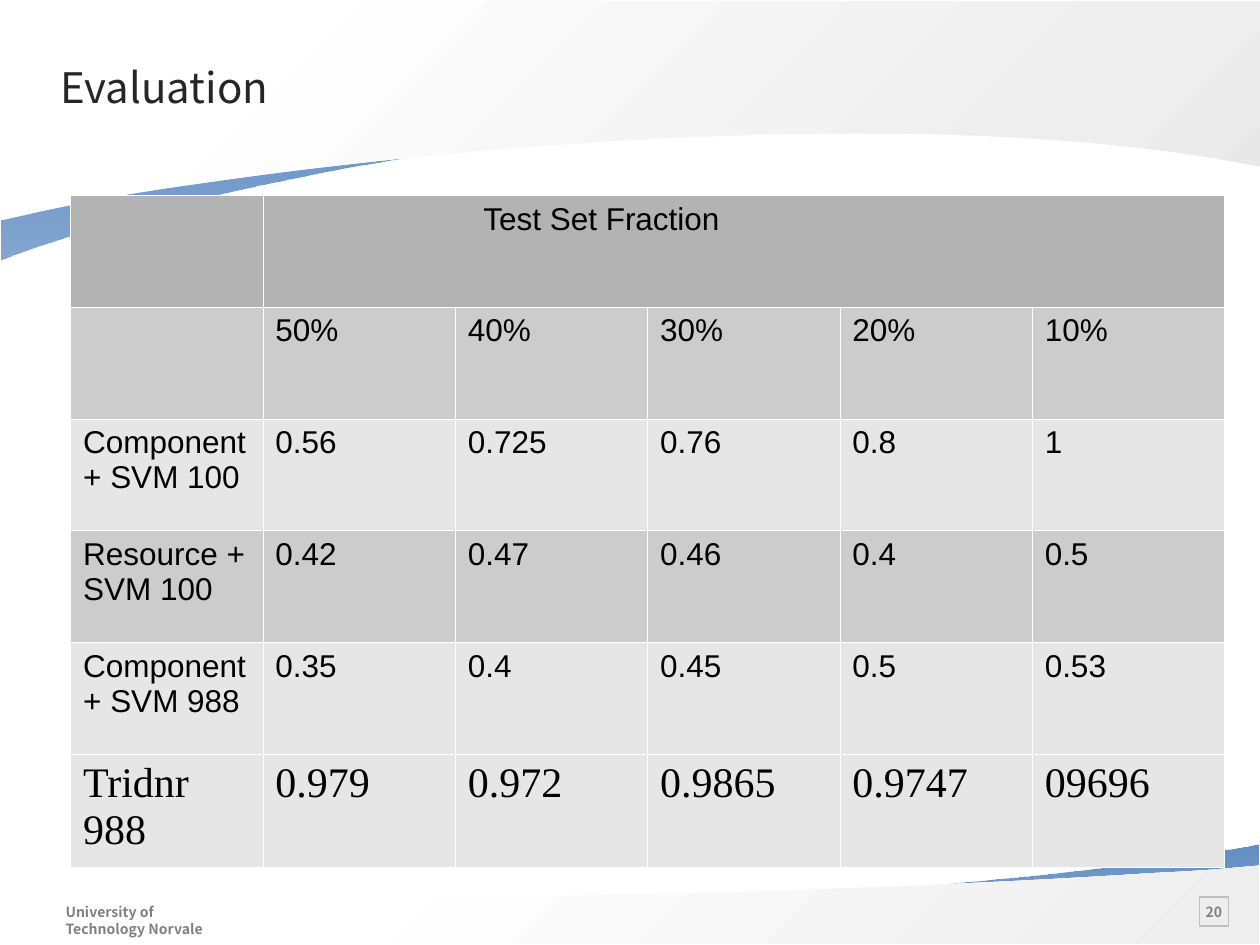
import lxml.etree
import pptx
import pptx.dml.color
import pptx.enum.shapes
import pptx.enum.text
import pptx.oxml.ns
import pptx.util

Inches, Pt = pptx.util.Inches, pptx.util.Pt
RGB = pptx.dml.color.RGBColor.from_string
qn = pptx.oxml.ns.qn
SubElement = lxml.etree.SubElement

THEME = {
    "title": {"name": "Noto Sans CJK SC", "size": Pt(24), "color": "262626"},
    "footer": {"name": "Noto Sans CJK SC", "size": Pt(8), "bold": True, "color": "808080"},
    "cell": {"name": "Arial", "size": Pt(18), "color": "000000"},
    "last_row": {"name": "Times New Roman", "size": Pt(24), "color": "000000"},
    "row_fills": ["B3B3B3", "CCCCCC", "E6E6E6", "CCCCCC", "E6E6E6", "E6E6E6"],
    "border": "FFFFFF",
    "number_frame": "BFBFBF",
    # gradient stops: position %, colour, opacity %
    "blue": [(0, "4F81BD", 90), (100, "4F81BD", 70)],
    "bottom_grey": [(26, "FFFFFF", 100), (100, "EEEEEE", 100)],
    "top_grey": [(17, "FFFFFF", 100), (81, "EEEEEE", 100), (100, "E8E8E8", 100)],
}


def write(tf, text, style, margins, wrap=True):
    """Fill a text frame; margins are left, top, right, bottom in inches."""
    tf.word_wrap = wrap
    for side, m in zip(("left", "top", "right", "bottom"), margins):
        setattr(tf, "margin_" + side, Inches(m))
    tf.text = text
    for p in tf.paragraphs:
        for key, value in THEME[style].items():
            if key == "color":
                p.font.color.rgb = RGB(value)
            else:
                setattr(p.font, key, value)


prs = pptx.Presentation()
prs.slide_width, prs.slide_height = Inches(10), Inches(7.5)
s = prs.slides.add_slide(prs.slide_layouts[6])

# Background waves: a pair is a corner, six numbers are a cubic curve
waves = [
    ("blue", 90, [(9.99, 6.7), (9.99, 7.34), (0, 7.34), (0, 7.08), (0.01, 7.08),
                  (2.26, 7.4, 6.14, 7.17, 8.39, 6.93),
                  (8.84, 6.88, 9.35, 6.81, 9.89, 6.72)]),
    ("bottom_grey", 45, [(9.99, 6.87), (9.99, 7.12), (9.99, 7.14), (9.99, 7.49),
                         (0, 7.49), (0, 7.14), (0, 7.12), (0, 7.02), (0.33, 7.05),
                         (2.94, 7.2, 6.82, 7.08, 9.14, 6.93),
                         (9.34, 6.92, 9.55, 6.91, 9.77, 6.89)]),
    ("blue", 90, [(0.01, 2.06), (0.01, 0.66), (10, 0.66), (10, 1.24), (9.99, 1.24),
                  (7.74, 0.53, 3.86, 1.04, 1.61, 1.57),
                  (1.16, 1.68, 0.65, 1.83, 0.11, 2.02)]),
    ("top_grey", 45, [(0.01, 1.75), (0.01, 1.05), (0.01, 0.99), (0.01, 0.01),
                      (10, 0.01), (10, 0.99), (10, 1.05), (10, 1.32), (9.67, 1.26),
                      (7.06, 0.82, 3.18, 1.18, 0.86, 1.57),
                      (0.66, 1.61, 0.45, 1.65, 0.23, 1.7)]),
]
for stops, angle, outline in waves:
    anchors = [(Inches(seg[-2]), Inches(seg[-1])) for seg in outline]
    builder = s.shapes.build_freeform(*anchors[0])
    builder.add_line_segments(anchors[1:], close=True)
    sp = builder.convert_to_shape()
    lines = list(sp._element.iter(qn("a:lnTo")))
    for line, seg in zip(lines, outline[1:]):
        if len(seg) == 6:
            line.tag = qn("a:cubicBezTo")
            for i in (0, 2):
                pt = lxml.etree.Element(qn("a:pt"), x=str(Inches(seg[i]) - sp.left),
                                        y=str(Inches(seg[i + 1]) - sp.top))
                line.insert(i // 2, pt)
    sp.shadow.inherit = False
    sp.line.fill.background()
    sp.fill.gradient()
    sp.fill.gradient_angle = 360 - angle
    gs_list = sp._element.find(".//" + qn("a:gsLst"))
    for gs in list(gs_list):
        gs_list.remove(gs)
    for pos, color, opacity in THEME[stops]:
        gs = SubElement(gs_list, qn("a:gs"), pos=str(pos * 1000))
        clr = SubElement(gs, qn("a:srgbClr"), val=color)
        SubElement(clr, qn("a:alpha"), val=str(opacity * 1000))

# Page number and footer
sp = s.shapes.add_shape(pptx.enum.shapes.MSO_SHAPE.RECTANGLE,
                        Inches(9.52), Inches(7.12), Inches(0.23), Inches(0.23))
sp.shadow.inherit = False
sp.fill.background()
sp.line.color.rgb = RGB(THEME["number_frame"])
sp.line.width = Pt(0.75)
write(sp.text_frame, "20", "footer", (0.08, 0.08, 0.08, 0.08), wrap=False)
sp.text_frame.vertical_anchor = pptx.enum.text.MSO_ANCHOR.MIDDLE
sp.text_frame.paragraphs[0].alignment = pptx.enum.text.PP_ALIGN.CENTER

footer = s.shapes.add_textbox(Inches(0.52), Inches(7.12), Inches(1.39), Inches(0.23))
write(footer.text_frame, "University of Technology Norvale", "footer",
      (0, 0.05, 0.1, 0.05), wrap=False)
footer.text_frame.auto_size = pptx.enum.text.MSO_AUTO_SIZE.SHAPE_TO_FIT_TEXT

title = s.shapes.add_textbox(Inches(0.4), Inches(0.41), Inches(8.99), Inches(0.58))
write(title.text_frame, "Evaluation", "title", (0.08, 0.08, 0, 0.08))

# Results table
rows = [
    ["", "Test Set Fraction", "", "", "", ""],
    ["", "50%", "40%", "30%", "20%", "10%"],
    ["Component+ SVM 100", "0.56", "0.725", "0.76", "0.8", "1"],
    ["Resource + SVM 100", "0.42", "0.47", "0.46", "0.4", "0.5"],
    ["Component+ SVM 988", "0.35", "0.4", "0.45", "0.5", "0.53"],
    ["Tridnr\n988", "0.979", "0.972", "0.9865", "0.9747", "09696"],
]
table = s.shapes.add_table(len(rows), len(rows[0]), Inches(0.56), Inches(1.55),
                           Inches(9.16), Inches(5.32)).table
table.first_row = table.horz_banding = False
for r, values in enumerate(rows):
    style = "last_row" if r == len(rows) - 1 else "cell"
    for c, value in enumerate(values):
        cell = table.cell(r, c)
        cell.text = value
        for p in cell.text_frame.paragraphs:
            for key, setting in THEME[style].items():
                if key == "color":
                    p.font.color.rgb = RGB(setting)
                else:
                    setattr(p.font, key, setting)
        tcPr = cell._tc.get_or_add_tcPr()
        for side in "LRTB":
            ln = SubElement(tcPr, qn("a:ln" + side), w=str(Pt(0.06)))
            fill = SubElement(ln, qn("a:solidFill"))
            SubElement(fill, qn("a:srgbClr"), val=THEME["border"])
        cell.fill.solid()
        cell.fill.fore_color.rgb = RGB(THEME["row_fills"][r])
table.cell(0, 1).merge(table.cell(0, 5))
table.cell(0, 1).margin_left = Inches(1.75)

prs.save("out.pptx")
